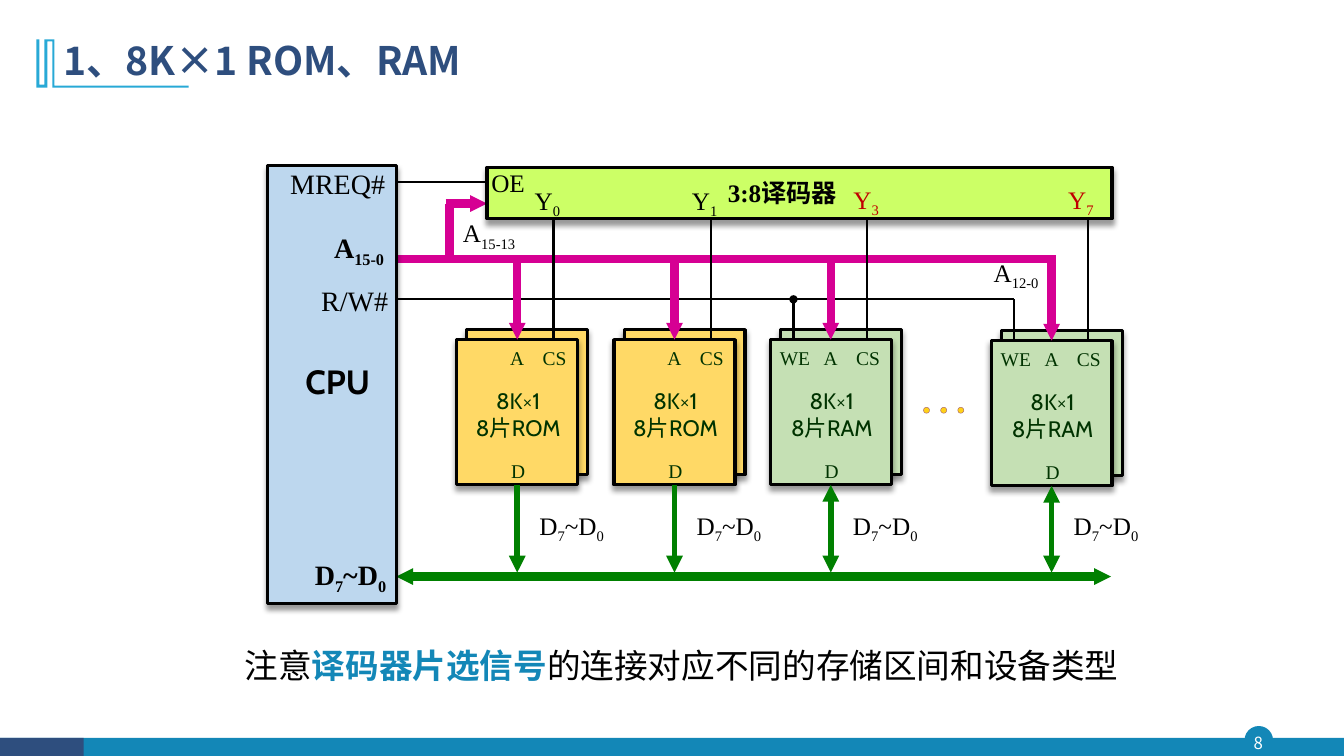
import pptx
import pptx.dml.color
import pptx.enum.shapes
import pptx.enum.text
import pptx.oxml
import pptx.oxml.ns
import pptx.util

RGB = pptx.dml.color.RGBColor
SHAPE = pptx.enum.shapes.MSO_SHAPE
ALIGN = pptx.enum.text.PP_ALIGN
ANCHOR = pptx.enum.text.MSO_ANCHOR
qn = pptx.oxml.ns.qn

PX = 9144  # 100 px to the inch
TIMES, CABIN, NOTO = "Times New Roman", "Cabin", "Noto Sans CJK SC"

BLACK, WHITE = RGB(0, 0, 0), RGB(255, 255, 255)
NAVY, TEAL, SKY = RGB(0x2E, 0x4E, 0x7E), RGB(0x13, 0x87, 0xB7), RGB(0x28, 0xA9, 0xD6)
ROM_FILL, RAM_FILL = RGB(0xFF, 0xD9, 0x66), RGB(0xC5, 0xE0, 0xB4)
CPU_FILL, DECODER_FILL = RGB(0xBD, 0xD7, 0xEE), RGB(0xCC, 0xFF, 0x66)
CHIP_TEXT, RED = RGB(0, 0x33, 0), RGB(0xC0, 0, 0)
ADDRESS, DATA = RGB(0xD6, 0, 0x93), RGB(0, 0x80, 0)
DOT_FILL, DOT_LINE = RGB(0xFF, 0xCC, 0), RGB(0x95, 0x4F, 0x72)

CHIP_WIDTH, CHIP_HEIGHT = 120, 144
CHIP_SELECT, WRITE_ENABLE = 96, 23  # pin distances from a chip's left side
ADDRESS_Y, DATA_Y, WRITE_Y, DECODER_BOTTOM = 257, 572, 297, 217


def make(tag, parent, **attributes):
    child = pptx.oxml.parse_xml(f'<{tag} xmlns:a="{pptx.oxml.ns.namespaces("a")["a"]}"/>')
    for name, value in attributes.items():
        child.set(name, str(value))
    parent.append(child)
    return child


def add_shape(slide, kind, box, fill, line=None, width=2.25, shadow=False):
    shape = slide.shapes.add_shape(kind, *(value * PX for value in box))
    shape.shadow.inherit = False
    shape.fill.solid()
    shape.fill.fore_color.rgb = fill
    if line is None:
        shape.line.fill.background()
    else:
        shape.line.color.rgb = line
        shape.line.width = pptx.util.Pt(width)
    if shadow:
        effects = shape._element.spPr.find(qn("a:effectLst"))
        outer = make("a:outerShdw", effects, blurRad=50800, dist=38100, dir=5400000)
        make("a:alpha", make("a:srgbClr", outer, val="000000"), val=40000)
    return shape


def add_text(slide, box, text, size, font=TIMES, color=BLACK, bold=False, align=ALIGN.CENTER,
             inset=1, wrap=True, anchor=ANCHOR.TOP, raised=False):
    """Text between underscores is subscript; a line break starts a paragraph."""
    frame = slide.shapes.add_textbox(*(value * PX for value in box)).text_frame
    frame.word_wrap = wrap
    frame.vertical_anchor = anchor
    across, down = (10, 5) if inset is None else (inset, inset)
    frame.margin_left = frame.margin_right = across * PX
    frame.margin_top = frame.margin_bottom = down * PX
    for index, line in enumerate(text.split("\n")):
        paragraph = frame.add_paragraph() if index else frame.paragraphs[0]
        paragraph.alignment = align
        paragraph.font.name = font
        paragraph.font.size = pptx.util.Pt(size)
        paragraph.font.bold = bold
        paragraph.font.color.rgb = color
        make("a:ea", paragraph._p.pPr.find(qn("a:defRPr")), typeface=NOTO)
        for part, words in enumerate(line.split("_")):
            if not words:
                continue
            run = paragraph.add_run()
            run.text = words
            if raised or part % 2:
                run._r.get_or_add_rPr().set("baseline", "30000" if raised else "-25000")
    return frame


def add_line(slide, start, end, color=BLACK, width=1.5, head=None, tail=None, size="med",
             begin=None, finish=None):
    connector = slide.shapes.add_connector(
        pptx.enum.shapes.MSO_CONNECTOR.STRAIGHT, *(value * PX for value in start + end))
    if begin is not None:
        connector.begin_connect(begin, 2)
    if finish is not None:
        connector.end_connect(finish, 0)
    connector.line.color.rgb = color
    connector.line.width = pptx.util.Pt(width)
    properties = connector._element.spPr
    for tag, kind in (("a:headEnd", head), ("a:tailEnd", tail)):
        if kind:
            make(tag, properties.find(qn("a:ln")), type=kind, w=size, len=size)
    make("a:effectLst", properties)


def add_page_frame(slide, width, height):
    # Footer and page number
    add_shape(slide, SHAPE.OVAL, (1235, height - 29, 27, 27), TEAL, TEAL, 1)
    add_shape(slide, SHAPE.RECTANGLE, (0, height - 18, width, 18), TEAL)
    add_shape(slide, SHAPE.RECTANGLE, (0, height - 18, 83, 18), NAVY)
    add_text(slide, (1232, height - 29, 32, 31), "8", 12, NOTO, WHITE, inset=0,
             anchor=ANCHOR.MIDDLE)
    # Title and its mark
    builder = slide.shapes.build_freeform(54, 39, PX)
    builder.add_line_segments([
        (54, 85), (187, 85), (187, 87), (52, 87), (52, 41), (47, 41), (47, 87),
        (36, 87), (36, 39), (39, 39), (39, 84), (44, 84), (44, 39)])
    mark = builder.convert_to_shape()
    mark.shadow.inherit = False
    mark.fill.solid()
    mark.fill.fore_color.rgb = SKY
    mark.line.fill.background()
    title = add_text(slide, (53, 28, 1150, 68), "1、8K×1 ROM、RAM", 28, NOTO, NAVY, True,
                     ALIGN.LEFT, None, anchor=ANCHOR.MIDDLE)
    title.paragraphs[0].line_spacing = 0.9


def add_chip(slide, left, top, kind):
    fill = ROM_FILL if kind == "ROM" else RAM_FILL
    for shift in (10, 0):
        front = add_shape(slide, SHAPE.RECTANGLE,
                          (left + shift, top - shift, CHIP_WIDTH, CHIP_HEIGHT),
                          fill, BLACK, shadow=True)
    pins = [("D", 43, 109, 36), ("A", 42, -3, 36), ("CS", 73, -3, 48)]
    if kind == "RAM":
        pins.append(("WE", -3, -3, 55))
    for pin, across, down, width in pins:
        add_text(slide, (left + across, top + down, width, 50), pin, 24, color=CHIP_TEXT,
                 inset=None, wrap=False, raised=True)
    add_text(slide, (left - 2, top + 42, 126, 64), f"8K×1\n8片{kind}", 16, CABIN, CHIP_TEXT,
             inset=None)
    return front


def add_chip_wires(slide, left, top, kind, chip):
    center, bottom = left + CHIP_WIDTH // 2, top + CHIP_HEIGHT
    add_line(slide, (center, ADDRESS_Y), (center, top), ADDRESS, 6, tail="triangle", size="sm",
             finish=chip)
    select = left + CHIP_SELECT
    add_line(slide, (select, top), (select, DECODER_BOTTOM))
    add_line(slide, (center, bottom), (center, DATA_Y - 4), DATA, 4, tail="triangle",
             head="triangle" if kind == "RAM" else None, begin=chip)
    add_text(slide, (center, 505, 87, 48), "D_7_~D_0_", 18, align=ALIGN.RIGHT)


def add_buses(slide):
    add_line(slide, (391, ADDRESS_Y), (1047, ADDRESS_Y), ADDRESS, 6)
    add_line(slide, (393, DATA_Y), (1102, DATA_Y), DATA, 6, "triangle", "triangle", "sm")
    add_line(slide, (392, 181), (483, 181))
    # Branch of the address bus into the decoder
    add_line(slide, (442, 202), (483, 202), ADDRESS, 6, tail="triangle", size="sm")
    add_line(slide, (446, 202), (446, ADDRESS_Y), ADDRESS, 6)
    add_text(slide, (414, 215, 98, 48), "A_15-13_", 18, align=ALIGN.RIGHT)
    add_text(slide, (932, 254, 99, 49), "A_12-0_", 18, align=ALIGN.RIGHT)


def add_cpu(slide, left, top, width, height):
    add_shape(slide, SHAPE.RECTANGLE, (left, top, width, height), CPU_FILL, BLACK, shadow=True)
    for text, across, down, size, font, bold in (
            ("MREQ#", 6, 0, 20, TIMES, False), ("A_15-0_", 5, 64, 20, TIMES, True),
            ("R/W#", 9, 116, 20, TIMES, False), ("CPU", -9, 193, 24, CABIN, True),
            ("D_7_~D_0_", 7, 388, 20, TIMES, True)):
        add_text(slide, (left + across, top + down, 112, 56), text, size, font, bold=bold,
                 align=ALIGN.RIGHT)


def add_decoder(slide, left, top, width, height):
    add_shape(slide, SHAPE.RECTANGLE, (left, top, width, height), DECODER_FILL, BLACK,
              shadow=True)
    add_text(slide, (left + 229, top + 5, 134, 40), "3:8译码器", 18, bold=True,
             align=ALIGN.LEFT, inset=None, wrap=False)
    for text, across, down, color in (
            ("OE", -2, -1, BLACK), ("Y_0_", 37, 17, BLACK), ("Y_1_", 193, 17, BLACK),
            ("Y_3_", 353, 16, RED), ("Y_7_", 566, 16, RED)):
        add_text(slide, (left + across, top + down, 46, 31), text, 18, color=color)


def add_caption(slide, box):
    frame = add_text(slide, box, "注意", 24, NOTO, inset=None)
    paragraph = frame.paragraphs[0]
    key = paragraph.add_run()
    key.text = "译码器片选信号"
    key.font.bold = True
    key.font.color.rgb = TEAL
    paragraph.add_run().text = "的连接对应不同的存储区间和设备类型"


def main():
    presentation = pptx.Presentation()
    presentation.slide_width, presentation.slide_height = 1333 * PX, 750 * PX
    slide = presentation.slides.add_slide(presentation.slide_layouts[6])
    add_page_frame(slide, 1333, 750)

    # Memory chips
    places = [(453, 337, "ROM"), (609, 337, "ROM"), (764, 337, "RAM"), (983, 338, "RAM")]
    chips = [add_chip(slide, *place) for place in places]
    for left, top, kind in places:
        if kind == "RAM":
            pin = left + WRITE_ENABLE
            add_line(slide, (pin, top), (pin, WRITE_Y), tail="oval" if left == 764 else None)
    add_line(slide, (388, WRITE_Y), (983 + WRITE_ENABLE, WRITE_Y))

    # Wiring
    add_buses(slide)
    for place, chip in zip(places, chips):
        add_chip_wires(slide, *place, chip)
    for index in range(3):
        dot = add_shape(slide, SHAPE.OVAL, (916 + 17 * index, 404, 6, 6), DOT_FILL, DOT_LINE, 0.25)
        make("a:alpha", dot._element.spPr.find(qn("a:solidFill"))[0], val=90000)

    add_cpu(slide, 265, 164, 128, 435)
    add_decoder(slide, 483, 166, 620, 51)
    add_caption(slide, (210, 635, 932, 50))
    presentation.save("out.pptx")


if __name__ == "__main__":
    main()
